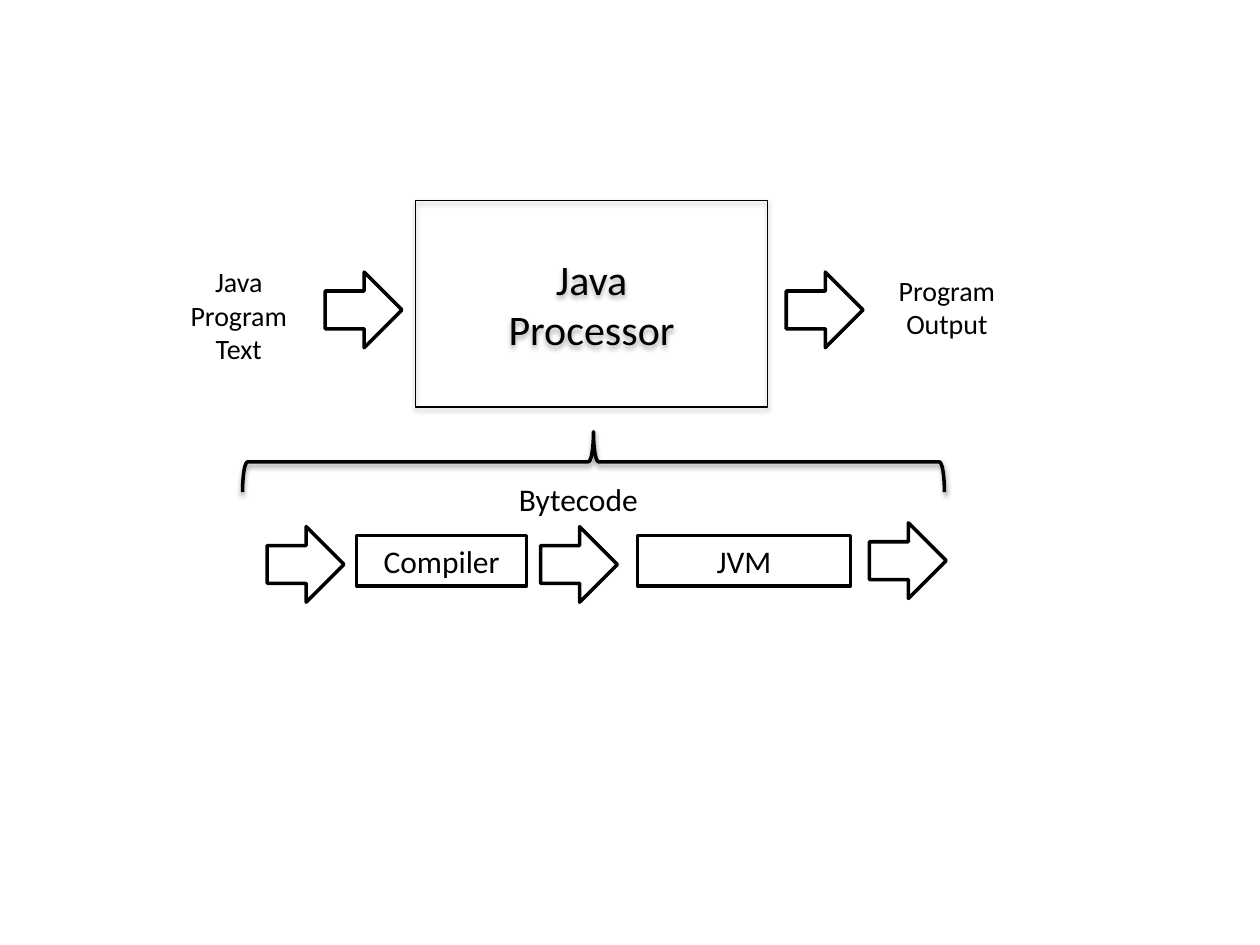
import dataclasses
import typing

import pptx
import pptx.dml.color
import pptx.enum.shapes
import pptx.enum.text
import pptx.oxml
import pptx.oxml.ns
import pptx.util

Pt = pptx.util.Pt
Kind = pptx.enum.shapes.MSO_SHAPE
Align = pptx.enum.text.PP_ALIGN
COLS, ROWS = 100, 75


@dataclasses.dataclass(frozen=True)
class Theme:
    font: str = "Calibri"
    ink: str = "000000"
    paper: str = "FFFFFF"
    large: int = 24
    mid: int = 18
    small: int = 16
    thin: float = 0.75
    thick: float = 2


class Area(typing.NamedTuple):
    """A place on the grid, in columns and rows."""
    col: float
    row: float
    wide: float
    high: float


@dataclasses.dataclass(frozen=True)
class Block:
    area: Area
    kind: Kind = Kind.RECTANGLE
    text: str = ""
    size: int = 0
    line: float = 2
    filled: bool = True
    shade: int = 0  # shadow opacity in percent
    turn: int = 0


@dataclasses.dataclass(frozen=True)
class Label:
    area: Area
    text: str
    size: int
    align: Align = Align.CENTER


theme = Theme()
deck = pptx.Presentation()
deck.slide_width = pptx.util.Inches(10)
deck.slide_height = pptx.util.Inches(7.5)
slide = deck.slides.add_slide(deck.slide_layouts[6])


def color(code: str) -> pptx.dml.color.RGBColor:
    return pptx.dml.color.RGBColor.from_string(code)


def place(area: Area) -> list[int]:
    col, row = deck.slide_width / COLS, deck.slide_height / ROWS
    return [round(n * unit) for n, unit in zip(area, (col, row, col, row))]


def write(frame, text: str, size: int, align: Align) -> None:
    frame.text = text
    for para in frame.paragraphs:
        para.alignment = align
        for run in para.runs:
            run.font.name = theme.font
            run.font.size = Pt(size)
            run.font.color.rgb = color(theme.ink)


def cast(shape, shade: int) -> None:
    """Add a soft shadow that falls straight down."""
    glow = pptx.oxml.parse_xml(
        f'<a:outerShdw {pptx.oxml.ns.nsdecls("a")} blurRad="{Pt(3.1)}" '
        f'dist="{Pt(1.7)}" dir="5400000" rotWithShape="0">'
        f'<a:srgbClr val="{theme.ink}"><a:alpha val="{shade * 1000}"/>'
        '</a:srgbClr></a:outerShdw>')
    shape._element.spPr.find(pptx.oxml.ns.qn("a:effectLst")).append(glow)


def draw(block: Block) -> None:
    shape = slide.shapes.add_shape(block.kind, *place(block.area))
    shape.shadow.inherit = False
    shape.rotation = block.turn
    shape.line.color.rgb = color(theme.ink)
    shape.line.width = Pt(block.line)
    if block.filled:
        shape.fill.solid()
        shape.fill.fore_color.rgb = color(theme.paper)
    else:
        shape.fill.background()
    if block.shade:
        cast(shape, block.shade)
    if block.text:
        write(shape.text_frame, block.text, block.size, Align.CENTER)


def note(label: Label) -> None:
    frame = slide.shapes.add_textbox(*place(label.area)).text_frame
    frame.word_wrap = False
    frame.auto_size = pptx.enum.text.MSO_AUTO_SIZE.SHAPE_TO_FIT_TEXT
    write(frame, label.text, label.size, label.align)


def arrow(col: float, row: float) -> Block:
    return Block(Area(col, row, 6.1, 6), Kind.RIGHT_ARROW, line=theme.thick)


def stage(col: float, wide: float, text: str) -> Block:
    return Block(Area(col, 42.5, wide, 4), text=text, size=theme.mid,
                 line=theme.thick)


blocks = [
    # Overall process
    Block(Area(33, 15.9, 27.9, 16.4), text="Java\nProcessor",
          size=theme.large, line=theme.thin, filled=False, shade=35),
    arrow(25.8, 21.6),
    arrow(62.4, 21.6),
    # Brace that opens the processor into its stages
    Block(Area(44.7, 8.8, 4.8, 55.7), Kind.LEFT_BRACE, line=theme.thick,
          filled=False, shade=38, turn=90),
    # Stages inside the processor
    arrow(21.2, 41.8),
    stage(28.3, 13.5, "Compiler"),
    arrow(42.9, 41.8),
    stage(50.6, 16.9, "JVM"),
    arrow(69, 41.5),
]

labels = [
    Label(Area(14, 20.5, 9.9, 9.1), "Java\nProgram\nText", theme.small),
    Label(Area(70.2, 21.2, 9.9, 6.4), "Program\nOutput", theme.small),
    Label(Area(40.2, 37.6, 11.6, 4), "Bytecode", theme.mid, Align.LEFT),
]

for block in blocks:
    draw(block)
for label in labels:
    note(label)

deck.save("out.pptx")
